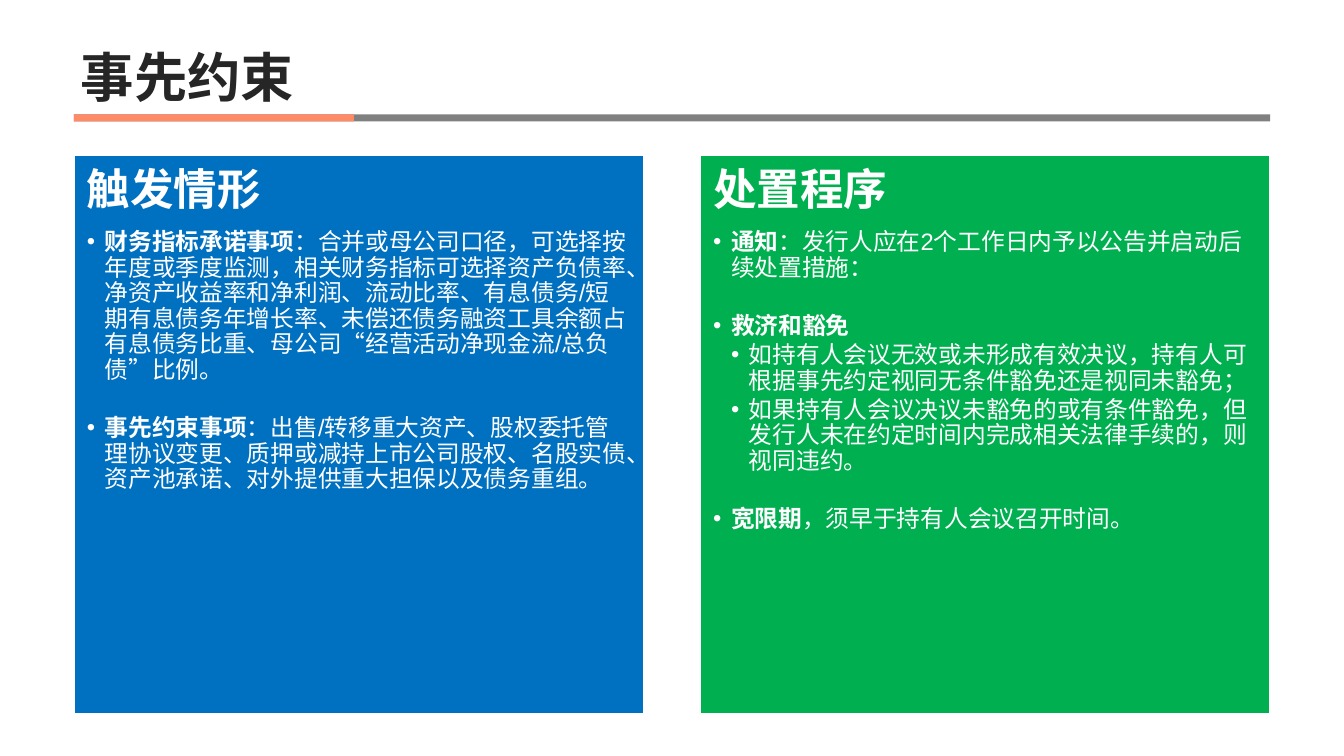
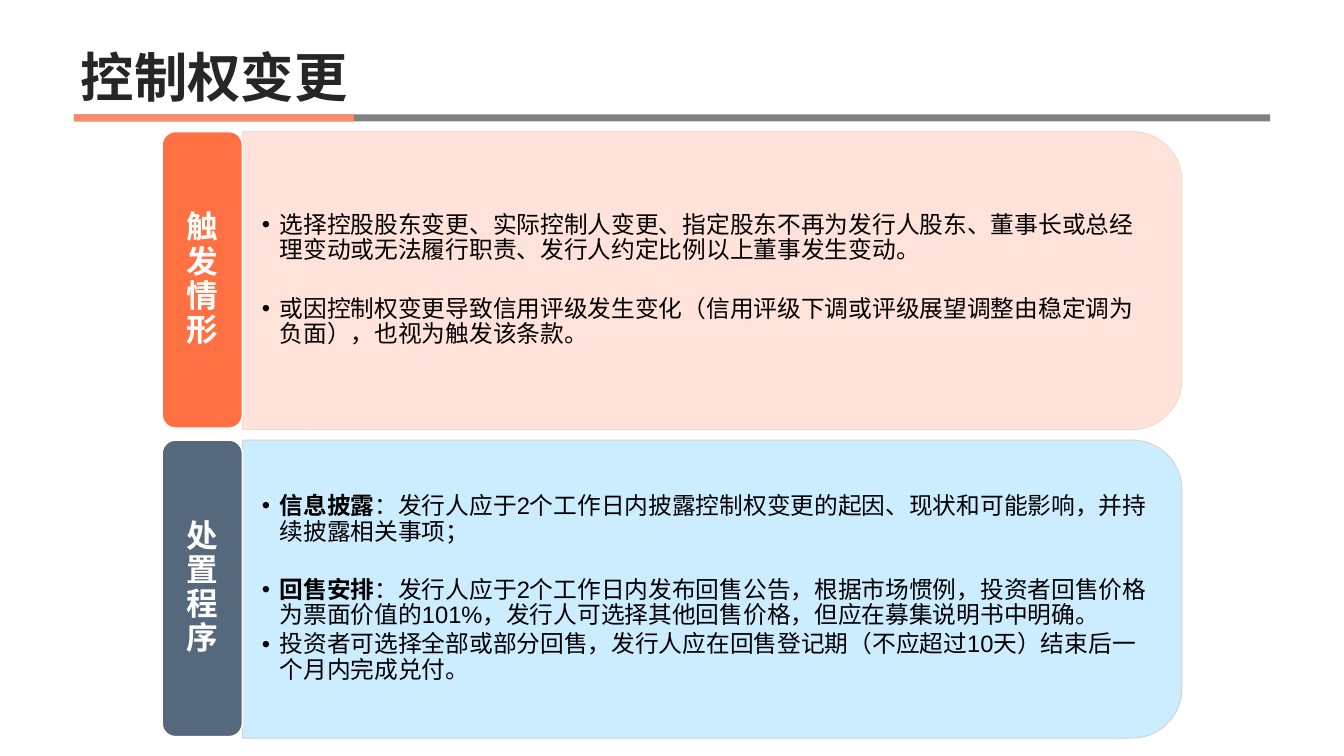
from dataclasses import dataclass

from lxml import etree
from pptx import Presentation
from pptx.dml.color import RGBColor
from pptx.enum.lang import MSO_LANGUAGE_ID
from pptx.enum.shapes import MSO_SHAPE
from pptx.enum.text import MSO_ANCHOR, MSO_AUTO_SIZE, PP_ALIGN
from pptx.oxml.ns import qn
from pptx.util import Cm, Pt

RECT = MSO_SHAPE.RECTANGLE
ROUNDED = MSO_SHAPE.ROUNDED_RECTANGLE
TWO_ROUNDED = MSO_SHAPE.ROUND_2_SAME_RECTANGLE
LEFT, CENTER = PP_ALIGN.LEFT, PP_ALIGN.CENTER
TOP, MIDDLE, BOTTOM = MSO_ANCHOR.TOP, MSO_ANCHOR.MIDDLE, MSO_ANCHOR.BOTTOM
CHINESE = MSO_LANGUAGE_ID.CHINESE_SINGAPORE if not hasattr(MSO_LANGUAGE_ID, "CHINESE_PRC") else MSO_LANGUAGE_ID.CHINESE_PRC
TITLE_ONLY = 5


@dataclass(frozen=True)
class Theme:
    font: str = "Arial"
    title_size: float = 54
    heading_size: float = 44
    tab_size: float = 32
    body_size: float = 24
    heading_after: float = 15.4
    body_after: float = 3.6
    section_after: float = 33
    line_spacing: float = 0.9
    title: str = "262626"
    white: str = "FFFFFF"
    black: str = "000000"
    rule: str = "808080"
    accent: str = "FF8A65"
    blue: str = "0070C0"
    green: str = "00B050"
    orange: str = "FF7043"
    slate: str = "56687C"
    peach: str = "FFE2D9"
    peach_line: str = "FFD5CF"
    sky: str = "CCECFF"
    sky_line: str = "D1D4D7"


@dataclass(frozen=True)
class Bullet:
    lead: str = ""
    text: str = ""
    level: int = 1
    ends_section: bool = False


THEME = Theme()
MARGIN, CONTENT_WIDTH = 2.64, 42.72

PRIOR_COVENANTS = [
    ("触发情形", THEME.blue, [
        Bullet("财务指标承诺事项", "：合并或母公司口径，可选择按年度或季度监测，相关财务指标可选择资产负债率、"
               "净资产收益率和净利润、流动比率、有息债务/短期有息债务年增长率、未偿还债务融资工具余额占"
               "有息债务比重、母公司“经营活动净现金流/总负债”比例。", ends_section=True),
        Bullet("事先约束事项", "：出售/转移重大资产、股权委托管理协议变更、质押或减持上市公司股权、名股实债、"
               "资产池承诺、对外提供重大担保以及债务重组。"),
    ]),
    ("处置程序", THEME.green, [
        Bullet("通知", "：发行人应在2个工作日内予以公告并启动后续处置措施：", ends_section=True),
        Bullet("救济和豁免"),
        Bullet(text="如持有人会议无效或未形成有效决议，持有人可根据事先约定视同无条件豁免还是视同未豁免；", level=2),
        Bullet(text="如果持有人会议决议未豁免的或有条件豁免，但发行人未在约定时间内完成相关法律手续的，则视同违约。",
               level=2, ends_section=True),
        Bullet("宽限期", "，须早于持有人会议召开时间。"),
    ]),
]

CONTROL_CHANGE = [
    ("触发情形", THEME.orange, THEME.peach, THEME.peach_line, [
        Bullet(text="选择控股股东变更、实际控制人变更、指定股东不再为发行人股东、董事长或总经理变动或无法履行职责、"
               "发行人约定比例以上董事发生变动。", ends_section=True),
        Bullet(text="或因控制权变更导致信用评级发生变化（信用评级下调或评级展望调整由稳定调为负面），也视为触发该条款。"),
    ]),
    ("处置程序", THEME.slate, THEME.sky, THEME.sky_line, [
        Bullet("信息披露", "：发行人应于2个工作日内披露控制权变更的起因、现状和可能影响，并持续披露相关事项；",
               ends_section=True),
        Bullet("回售安排", "：发行人应于2个工作日内发布回售公告，根据市场惯例，投资者回售价格为票面价值的101%，"
               "发行人可选择其他回售价格，但应在募集说明书中明确。"),
        Bullet(text="投资者可选择全部或部分回售，发行人应在回售登记期（不应超过10天）结束后一个月内完成兑付。"),
    ]),
]


def add_block(slide, kind, left, top, width, height, fill, line=None, weight=1.5):
    block = slide.shapes.add_shape(kind, Cm(left), Cm(top), Cm(width), Cm(height))
    block.shadow.inherit = False
    block.fill.solid()
    block.fill.fore_color.rgb = RGBColor.from_string(fill)
    if line:
        block.line.color.rgb = RGBColor.from_string(line)
        block.line.width = Pt(weight)
    else:
        block.line.fill.background()
    return block


def set_frame(frame, anchor, side, edge):
    frame.word_wrap = True
    frame.auto_size = MSO_AUTO_SIZE.NONE
    frame.vertical_anchor = anchor
    frame.margin_left = frame.margin_right = Cm(side)
    frame.margin_top = frame.margin_bottom = Cm(edge)


def add_run(paragraph, text, size, color, bold):
    run = paragraph.add_run()
    run.text = text
    run.font.name = THEME.font
    run.font.size = Pt(size)
    run.font.bold = bold
    run.font.color.rgb = RGBColor.from_string(color)
    run.font.language_id = CHINESE


def format_paragraph(paragraph, after=0, align=LEFT):
    paragraph.alignment = align
    paragraph.line_spacing = THEME.line_spacing
    paragraph.space_before = Pt(0)
    paragraph.space_after = Pt(after)


def write_heading(paragraph, text, size, color, after=0, align=LEFT):
    format_paragraph(paragraph, after, align)
    add_run(paragraph, text, size, color, True)


def write_bullet(paragraph, bullet, color):
    format_paragraph(paragraph, THEME.section_after if bullet.ends_section else THEME.body_after)
    paragraph.level = bullet.level
    properties = paragraph._p.get_or_add_pPr()
    step = Cm(0.64)
    properties.set("marL", str(step * bullet.level))
    properties.set("indent", str(-step))
    etree.SubElement(properties, qn("a:buFont"), typeface=THEME.font)
    etree.SubElement(properties, qn("a:buChar"), char="•")
    for text, bold in ((bullet.lead, True), (bullet.text, False)):
        if text:
            add_run(paragraph, text, THEME.body_size, color, bold)


def prepare_layout(layout, slide):
    for placeholder in list(layout.placeholders):
        if placeholder.placeholder_format.idx:
            placeholder.element.getparent().remove(placeholder.element)
    bands = [add_block(slide, RECT, MARGIN, 4.09, width, 0.25, color)
             for width, color in ((CONTENT_WIDTH, THEME.rule), (10, THEME.accent))]
    for band in bands:
        layout.shapes.element.append(band.element)


def write_title(slide, text):
    title = slide.shapes.title
    title.left, title.top = Cm(MARGIN), Cm(0)
    title.width, title.height = Cm(CONTENT_WIDTH), Cm(4.04)
    set_frame(title.text_frame, BOTTOM, 0.25, 0.13)
    write_heading(title.text_frame.paragraphs[0], text, THEME.title_size, THEME.title)


def add_column(slide, left, width, heading, fill, bullets):
    column = add_block(slide, RECT, left, 5.54, width, 19.96, fill, THEME.white)
    frame = column.text_frame
    set_frame(frame, TOP, 0.46, 0.46)
    write_heading(frame.paragraphs[0], heading, THEME.heading_size, THEME.white, THEME.heading_after)
    for bullet in bullets:
        write_bullet(frame.add_paragraph(), bullet, THEME.white)


def add_band(slide, top, label, tab_fill, panel_fill, panel_line, bullets):
    tab_left, tab_width, tab_height = 5.79, 2.87, 10.59
    panel_left, panel_width, panel_height = tab_left + tab_width, 33.55, 10.64
    turn = (panel_width - panel_height) / 2
    panel = add_block(slide, TWO_ROUNDED, panel_left + turn, top - turn,
                      panel_height, panel_width, panel_fill, panel_line, 1)
    panel.rotation = 90

    body = slide.shapes.add_textbox(Cm(panel_left), Cm(top + 0.51), Cm(33.02), Cm(9.6)).text_frame
    set_frame(body, MIDDLE, 0.69, 0.36)
    for index, bullet in enumerate(bullets):
        write_bullet(body.add_paragraph() if index else body.paragraphs[0], bullet, THEME.black)

    tab = add_block(slide, ROUNDED, tab_left, top, tab_width, tab_height, tab_fill, THEME.white)
    set_frame(tab.text_frame, MIDDLE, 0.33, 0.18)
    write_heading(tab.text_frame.paragraphs[0], label, THEME.tab_size, THEME.white, align=CENTER)


def main():
    deck = Presentation()
    deck.slide_width, deck.slide_height = Cm(48), Cm(27)
    layout = deck.slide_layouts[TITLE_ONLY]

    covenants = deck.slides.add_slide(layout)
    prepare_layout(layout, covenants)
    write_title(covenants, "事先约束")
    gap = 2.02
    width = (CONTENT_WIDTH - gap) / 2
    for index, column in enumerate(PRIOR_COVENANTS):
        add_column(covenants, MARGIN + index * (width + gap), width, *column)

    control = deck.slides.add_slide(layout)
    write_title(control, "控制权变更")
    for index, band in enumerate(CONTROL_CHANGE):
        add_band(control, 4.7 + index * 11.02, *band)

    deck.save("out.pptx")


if __name__ == "__main__":
    main()
